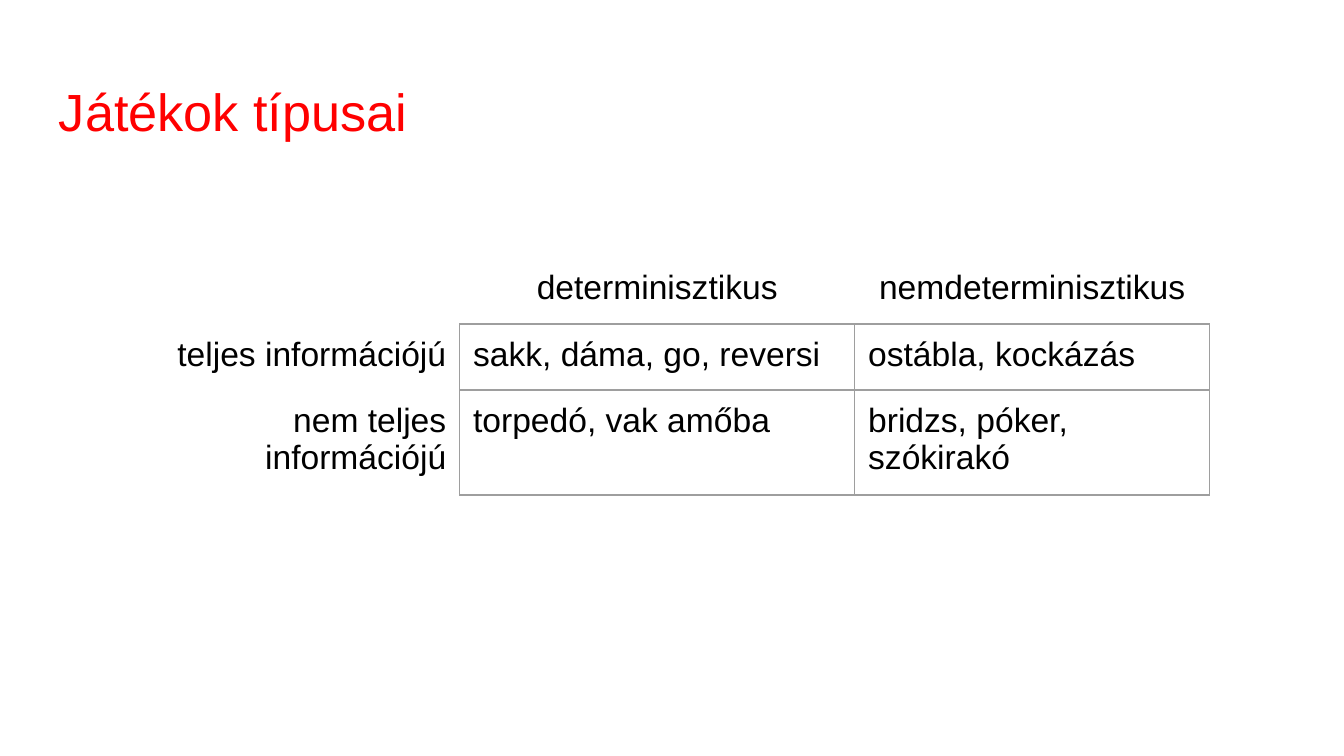
from lxml import etree
from pptx import Presentation
from pptx.dml.color import RGBColor
from pptx.enum.text import PP_ALIGN
from pptx.oxml.ns import qn
from pptx.util import Inches, Pt

TITLE = "Játékok típusai"
ROWS = [
    ["", "determinisztikus", "nemdeterminisztikus"],
    ["teljes információjú", "sakk, dáma, go, reversi", "ostábla, kockázás"],
    ["nem teljes információjú", "torpedó, vak amőba", "bridzs, póker, szókirakó"],
]
COLUMN_WIDTHS = [2.33, 2.94, 2.64]
ROW_HEIGHT = 0.42
LINE_SPACING = 0.97
MARGIN = Inches(0.1)
FONT = "Arial"
RED = RGBColor(0xFF, 0x00, 0x00)
BLACK = RGBColor(0x00, 0x00, 0x00)
GRAY = RGBColor(0x9E, 0x9E, 0x9E)


def set_margins(box):
    box.margin_left = box.margin_right = MARGIN
    box.margin_top = box.margin_bottom = MARGIN


def format_font(font, size, color):
    font.name = FONT
    font.size = Pt(size)
    font.color.rgb = color


def set_borders(cell, visible_sides):
    """Draw the sides named in visible_sides (from "LRTB") and hide the others."""
    properties = cell._tc.get_or_add_tcPr()
    for position, side in enumerate("LRTB"):
        line = etree.Element(qn(f"a:ln{side}"), w=str(Pt(0.75)))
        if side in visible_sides:
            fill = etree.SubElement(line, qn("a:solidFill"))
            etree.SubElement(fill, qn("a:srgbClr"), val=str(GRAY))
        else:
            etree.SubElement(line, qn("a:noFill"))
        properties.insert(position, line)


def add_title(slide):
    title = slide.shapes.add_textbox(Inches(0.34), Inches(0.49), Inches(9.32), Inches(0.63))
    frame = title.text_frame
    frame.word_wrap = True
    set_margins(frame)
    frame.text = TITLE
    format_font(frame.paragraphs[0].runs[0].font, 28, RED)


def add_game_table(slide):
    table = slide.shapes.add_table(
        len(ROWS), len(COLUMN_WIDTHS), Inches(1.09), Inches(1.91),
        Inches(sum(COLUMN_WIDTHS)), Inches(ROW_HEIGHT * len(ROWS))).table
    table.first_row = table.horz_banding = False
    for column, width in zip(table.columns, COLUMN_WIDTHS):
        column.width = Inches(width)
    for row_index, texts in enumerate(ROWS):
        table.rows[row_index].height = Inches(ROW_HEIGHT)
        for column_index, text in enumerate(texts):
            if row_index == 0:
                alignment, sides = PP_ALIGN.CENTER, "B" if column_index else ""
            elif column_index == 0:
                alignment, sides = PP_ALIGN.RIGHT, "R"
            else:
                alignment, sides = PP_ALIGN.LEFT, "LRTB"
            cell = table.cell(row_index, column_index)
            set_margins(cell)
            cell.fill.background()
            set_borders(cell, sides)
            cell.text_frame.text = text
            paragraph = cell.text_frame.paragraphs[0]
            paragraph.alignment = alignment
            paragraph.line_spacing = LINE_SPACING
            for run in paragraph.runs:
                format_font(run.font, 18, BLACK)


def main():
    presentation = Presentation()
    presentation.slide_width = Inches(10)
    presentation.slide_height = presentation.slide_width * 9 // 16
    slide = presentation.slides.add_slide(presentation.slide_layouts[6])
    add_title(slide)
    add_game_table(slide)
    presentation.save("out.pptx")


if __name__ == "__main__":
    main()
